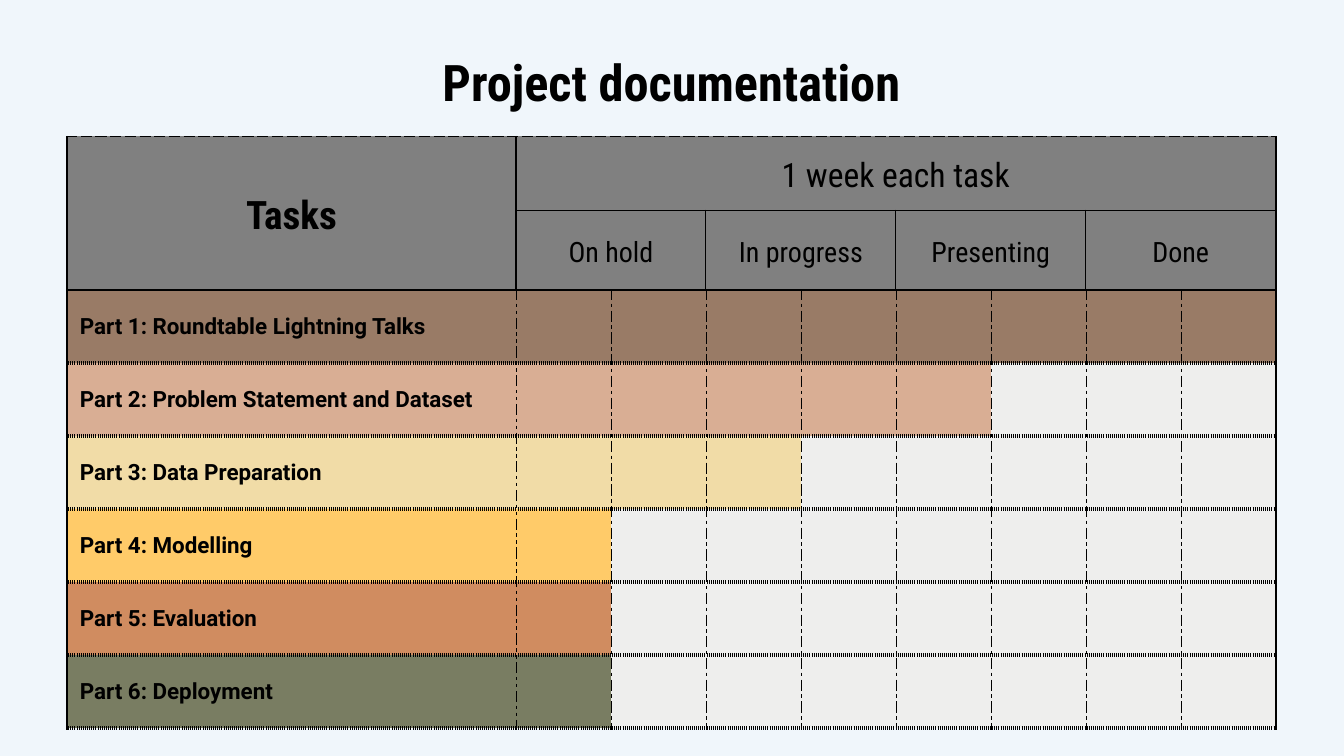
from lxml import etree
from pptx import Presentation
from pptx.dml.color import RGBColor
from pptx.enum.text import MSO_ANCHOR, MSO_AUTO_SIZE, PP_ALIGN
from pptx.oxml.ns import qn
from pptx.util import Pt

MID = MSO_ANCHOR.MIDDLE
LEFT, CENTER = PP_ALIGN.LEFT, PP_ALIGN.CENTER
PX = 914400 / 100.8
HEX = {
    "back": "F0F6FB", "ink": "000000", "head": "808080", "blank": "EEEEED",
    "brown": "997B66", "rose": "D9AE94", "sand": "F1DCA7",
    "gold": "FFCB69", "rust": "D08C60", "olive": "797D62",
}
CONDENSED = "Roboto Condensed"
PAD = 13
HEAD_ROWS = 2
SLOTS = 8


def write(frame, text, size, font=CONDENSED, bold=False, align=CENTER, space=None):
    para = frame.paragraphs[0]
    para.alignment = align
    para.line_spacing = space
    run = para.add_run()
    run.text = text
    run.font.size = Pt(size)
    run.font.name = font
    run.font.bold = bold
    run.font.color.rgb = RGBColor.from_string(HEX["ink"])


def edge(cell, side, width, dash):
    """Add one border line to a cell; side is L, R, T or B."""
    line = etree.SubElement(cell._tc.get_or_add_tcPr(), qn(f"a:ln{side}"), w=str(Pt(width)))
    fill = etree.SubElement(line, qn("a:solidFill"))
    etree.SubElement(fill, qn("a:srgbClr"), val=HEX["ink"])
    etree.SubElement(line, qn("a:prstDash"), val=dash)


deck = Presentation()
deck.slide_width, deck.slide_height = round(1344 * PX), round(756 * PX)
slide = deck.slides.add_slide(deck.slide_layouts[5])
slide.background.fill.solid()
slide.background.fill.fore_color.rgb = RGBColor.from_string(HEX["back"])

# Title
title = slide.shapes.title
title.left, title.top, title.width, title.height = [round(n * PX) for n in (67, 39, 1209, 85)]
frame = title.text_frame
frame.auto_size = MSO_AUTO_SIZE.NONE
frame.vertical_anchor = MID
frame.margin_left = frame.margin_right = round(PAD * PX)
frame.margin_top = frame.margin_bottom = round(PAD * PX)
write(frame, "Project documentation", 36, bold=True)

# Each task: name, colour, number of filled slots
tasks = [
    ("Part 1: Roundtable Lightning Talks", "brown", 8),
    ("Part 2: Problem Statement and Dataset", "rose", 5),
    ("Part 3: Data Preparation", "sand", 3),
    ("Part 4: Modelling", "gold", 1),
    ("Part 5: Evaluation", "rust", 1),
    ("Part 6: Deployment", "olive", 1),
]
stages = ["On hold", "In progress", "Presenting", "Done"]
widths = [449] + [95] * SLOTS
heights = [74, 80] + [73] * len(tasks)

box = [round(n * PX) for n in (67, 136, sum(widths), sum(heights))]
table = slide.shapes.add_table(len(heights), len(widths), *box).table
table.first_row = table.horz_banding = False
for col, width in zip(table.columns, widths):
    col.width = round(width * PX)
for row, height in zip(table.rows, heights):
    row.height = round(height * PX)

# Header
table.cell(0, 0).merge(table.cell(1, 0))
table.cell(0, 1).merge(table.cell(0, SLOTS))
write(table.cell(0, 0).text_frame, "Tasks", 28, bold=True, space=1.15)
write(table.cell(0, 1).text_frame, "1 week each task", 24, space=1.15)
for i, stage in enumerate(stages):
    first = table.cell(1, 1 + 2 * i)
    first.merge(table.cell(1, 2 + 2 * i))
    write(first.text_frame, stage, 20, space=1.15)

# Task names
for r, (name, tint, done) in enumerate(tasks, HEAD_ROWS):
    write(table.cell(r, 0).text_frame, name, 16, font="Roboto", bold=True, align=LEFT)

# Grid lines by their index, with a default for the rest
solid, thin = (1.5, "solid"), (0.75, "solid")
across = {0: (0.25, "sysDash"), 1: thin, 2: solid}
head_down = {0: solid, 1: solid, 9: solid}
body_down = {0: solid, 1: (0.25, "sysDashDotDot"), 9: solid}

for r in range(len(heights)):
    for c in range(len(widths)):
        cell = table.cell(r, c)
        if cell.is_spanned:
            continue
        cell.vertical_anchor = MID
        cell.margin_left = cell.margin_right = round(PAD * PX)
        cell.margin_top = cell.margin_bottom = round(PAD * PX)
        if r < HEAD_ROWS:
            down, rest, tint = head_down, thin, "head"
        else:
            down, rest = body_down, (0.25, "dashDot")
            name, tint, done = tasks[r - HEAD_ROWS]
            if c > done:
                tint = "blank"
        edge(cell, "L", *down.get(c, rest))
        edge(cell, "R", *down.get(c + cell.span_width, rest))
        edge(cell, "T", *across.get(r, (3, "sysDot")))
        edge(cell, "B", *across.get(r + cell.span_height, (3, "sysDot")))
        cell.fill.solid()
        cell.fill.fore_color.rgb = RGBColor.from_string(HEX[tint])

deck.save("out.pptx")
